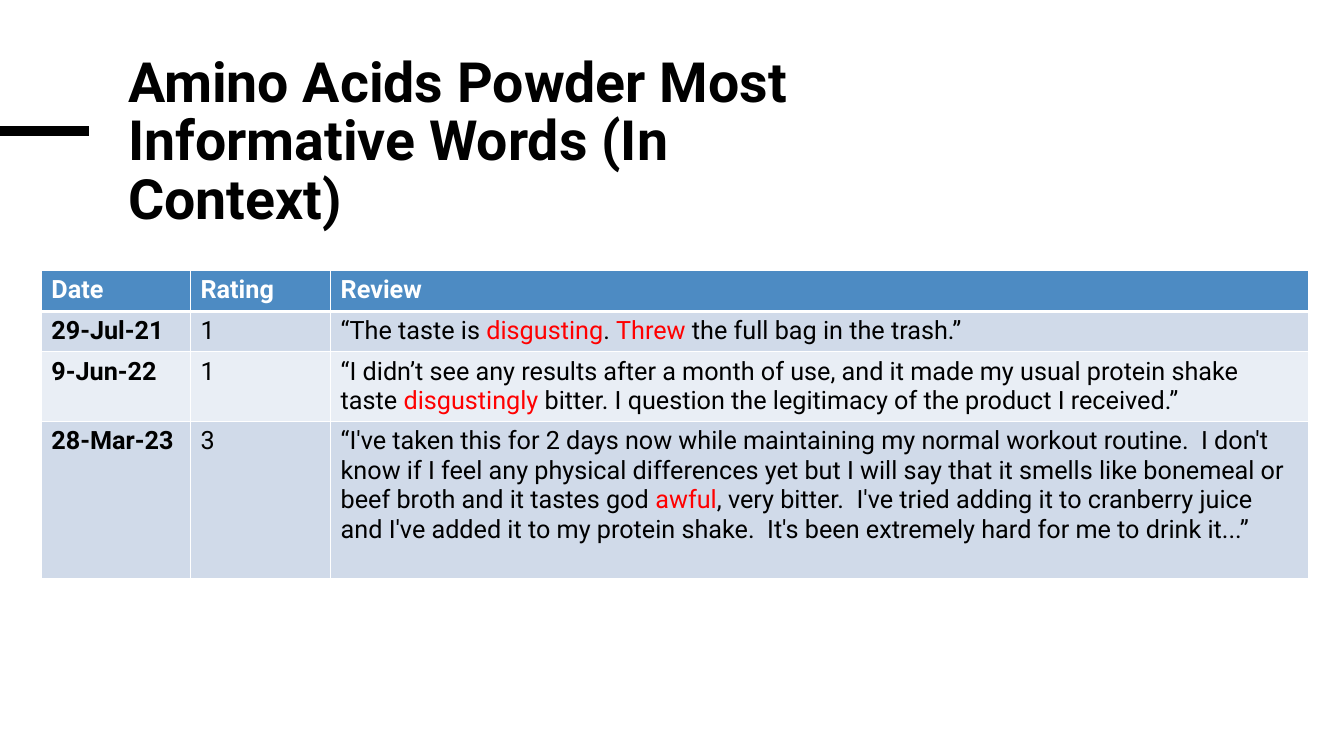
from lxml.etree import SubElement
from pptx import Presentation
from pptx.dml.color import RGBColor
from pptx.enum.shapes import MSO_CONNECTOR as Connector
from pptx.enum.text import MSO_ANCHOR as Anchor, MSO_AUTO_SIZE as AutoSize, PP_ALIGN as Align
from pptx.oxml.ns import qn
from pptx.util import Inches, Pt

FONT = "Roboto"
BLACK, WHITE, RED = "000000", "FFFFFF", "FF0000"
HEADER_FILL, BAND_FILLS = "4D8BC3", ("D0DAE9", "E9EEF5")
COLUMN_WIDTHS = (1.48, 1.39, 9.7)
ROW_HEIGHTS = (0.41, 0.4, 0.69, 1.56)
# Asterisks enclose the informative words, which are shown in red.
REVIEWS = [
    ("Date", "Rating", "Review"),
    ("29-Jul-21", "1",
     "“The taste is *disgusting*. *Threw* the full bag in the trash.”"),
    ("9-Jun-22", "1",
     "“I didn’t see any results after a month of use, and it made my usual protein shake "
     "taste *disgustingly* bitter. I question the legitimacy of the product I received.”"),
    ("28-Mar-23", "3",
     "“I've taken this for 2 days now while maintaining my normal workout routine.  I don't "
     "know if I feel any physical differences yet but I will say that it smells like bonemeal or "
     "beef broth and it tastes god *awful*, very bitter.  I've tried adding it to cranberry juice "
     "and I've added it to my protein shake.  It's been extremely hard for me to drink it...”"),
]


def color(value):
    return RGBColor.from_string(value)


def write(paragraph, text, size, ink, bold):
    """Add the text as runs, with the words between asterisks in red."""
    for index, part in enumerate(text.split("*")):
        run = paragraph.add_run()
        run.text = part
        for name, value in {"name": FONT, "size": Pt(size), "bold": bold}.items():
            setattr(run.font, name, value)
        run.font.color.rgb = color(RED if index % 2 else ink)


def add_title(slide, text, box):
    title = slide.shapes.title
    for name, value in zip(("left", "top", "width", "height"), box):
        setattr(title, name, Inches(value))
    frame = title.text_frame
    settings = {"word_wrap": True, "auto_size": AutoSize.NONE, "vertical_anchor": Anchor.TOP}
    for name, value in settings.items():
        setattr(frame, name, value)
    heading = frame.paragraphs[0]
    heading.alignment, heading.line_spacing = Align.LEFT, 0.88
    write(heading, text, 39.6, BLACK, True)


def add_accent_line(slide, y, length):
    accent = slide.shapes.add_connector(
        Connector.STRAIGHT, 0, Inches(y), Inches(length), Inches(y))
    accent.line.color.rgb = color(BLACK)
    accent.line.width = Pt(6.75)
    SubElement(accent._element.spPr, qn("a:effectLst"))


def add_borders(cell, widths):
    """Draw white borders, with widths in points by side."""
    properties = cell._tc.get_or_add_tcPr()
    for side, width in widths.items():
        border = SubElement(properties, qn(f"a:ln{side}"), w=str(Pt(width)))
        fill = SubElement(border, qn("a:solidFill"))
        SubElement(fill, qn("a:srgbClr"), val=WHITE)


def add_reviews(slide, left, top):
    table = slide.shapes.add_table(
        len(REVIEWS), len(COLUMN_WIDTHS), Inches(left), Inches(top),
        Inches(sum(COLUMN_WIDTHS)), Inches(sum(ROW_HEIGHTS))).table
    for column, width in zip(table.columns, COLUMN_WIDTHS):
        column.width = Inches(width)
    for r, (row, height, texts) in enumerate(zip(table.rows, ROW_HEIGHTS, REVIEWS)):
        row.height = Inches(height)
        header = r == 0
        for c, (cell, text) in enumerate(zip(row.cells, texts)):
            add_borders(cell, {"L": 1, "R": 1, "T": 3 if r == 1 else 1, "B": 3 if header else 1})
            cell.fill.solid()
            cell.fill.fore_color.rgb = color(HEADER_FILL if header else BAND_FILLS[(r - 1) % 2])
            write(cell.text_frame.paragraphs[0], text, 18,
                  WHITE if header else BLACK, header or c == 0)


def main():
    deck = Presentation()
    deck.slide_width, deck.slide_height = Inches(13.33), Inches(7.5)
    slide = deck.slides.add_slide(deck.slide_layouts[5])
    add_accent_line(slide, 1.3, 0.88)
    add_title(slide, "Amino Acids Powder Most Informative Words (In Context)",
              (1.17, 0.5, 7.29, 1.42))
    add_reviews(slide, 0.41, 2.68)
    deck.save("out.pptx")


if __name__ == "__main__":
    main()
